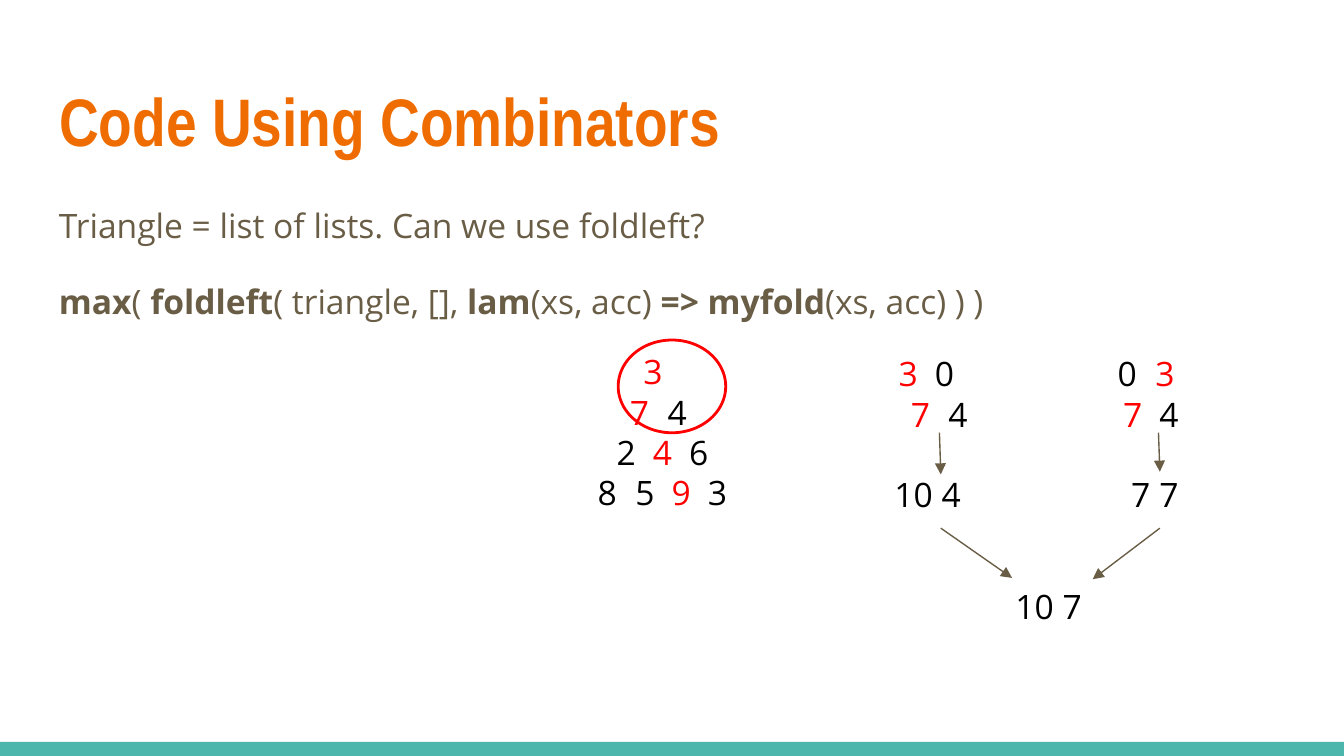
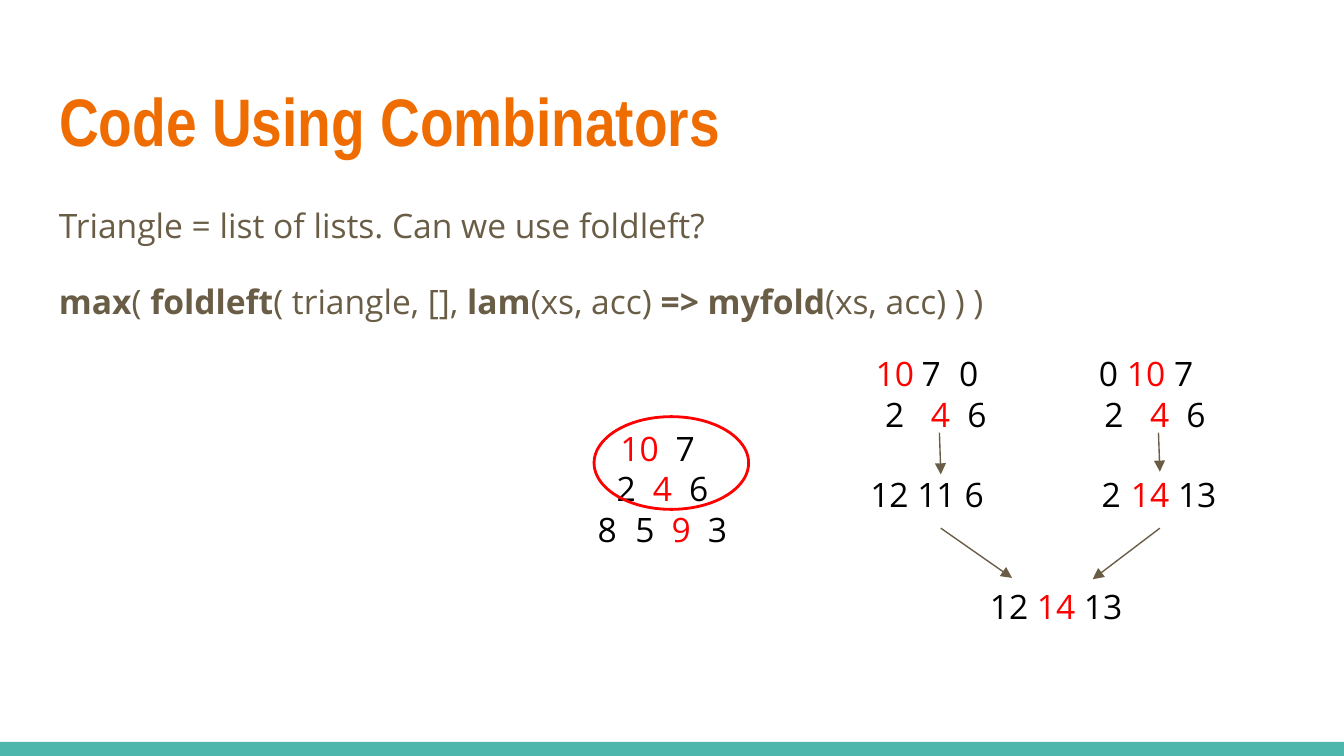
from pptx import Presentation
from pptx.dml.color import RGBColor
from pptx.enum.shapes import MSO_CONNECTOR as Link, MSO_SHAPE as Kind
from pptx.enum.text import MSO_ANCHOR as Anchor, MSO_AUTO_SIZE as Fit, PP_ALIGN as Align
from pptx.util import Inches, Pt
from lxml.etree import SubElement as sub
from pptx.oxml.ns import qn

ORANGE, BROWN, TEAL = "EF6C00", "695D46", "4DB6AC"
RED, BLACK = "FF0000", "000000"
WIDE = 10
HIGH = WIDE * 9 / 16
SIZE = 18
LINE = SIZE * 1.2
PAD = 0.1
BODY = (0.34, 1.38, 9.32, 2.88)
LEFT = (6.33, 2.53, 1.34, 1.4)
RIGHT = (7.96, 2.53, 1.34, 1.4)
CODE = ["max", "( ", "foldleft", "( triangle, [], ", "lam", "(xs, acc) ", "=> myfold", "(xs, acc) ) )"]

STEPS = [
    {
        "tri": [("3*", 4.86), ("7* 4", 4.76, 5.04), ("2 4* 6", 4.66, 4.93, 5.2),
                ("8 5 9* 3", 4.52, 4.8, 5.07, 5.34)],
        "gap": 16,
        "ring": (4.6, 2.53, 0.8, 0.69),
        "left": [("3* 0", 6.76, 7.03), ("7* 4", 6.85, 7.13), ("10 4", 6.8, 7.08)],
        "right": [("0 3*", 8.39, 8.67), ("7* 4", 8.43, 8.7), ("7 7", 8.49, 8.7)],
        "sum": ("10 7", 7.7, 7.98),
        "foot": (7.31, 4.26, 1.07, 0.55),
    },
    {
        "tri": [("10* 7", 4.76, 5.1), ("2 4* 6", 4.66, 4.93, 5.2),
                ("8 5 9* 3", 4.52, 4.8, 5.07, 5.34)],
        "gap": 57,
        "ring": (4.42, 3.1, 1.15, 0.69),
        "left": [("10* 7 0", 6.66, 6.93, 7.21), ("2 4* 6", 6.66, 7, 7.27),
                 ("12 11 6", 6.62, 6.97, 7.25)],
        "right": [("0 10* 7", 8.25, 8.53, 8.81), ("2 4* 6", 8.29, 8.63, 8.9),
                  ("2 14* 13", 8.27, 8.56, 8.91)],
        "sum": ("12 14* 13", 7.51, 7.86, 8.21),
        "foot": (7.08, 4.26, 1.55, 0.55),
    },
]


def rgb(code):
    """Turn a hex string into a colour."""
    return RGBColor.from_string(code)


def inch(box):
    """Turn a box in inches into lengths."""
    return [Inches(v) for v in box]


def style(run, color, size=SIZE, face="Open Sans", bold=False):
    """Format one run."""
    font = run.font
    font.name, font.size, font.bold = face, Pt(size), bold
    font.color.rgb = rgb(color)


def frame(shape):
    """Give a shape's text the common insets and wrapping."""
    text = shape.text_frame
    text.word_wrap, text.auto_size = True, Fit.NONE
    text.vertical_anchor = Anchor.TOP
    text.margin_left = text.margin_right = Inches(PAD)
    text.margin_top = text.margin_bottom = Inches(PAD)
    return text


def add_box(slide, box):
    """Add an empty text box."""
    shape = slide.shapes.add_textbox(*inch(box))
    frame(shape)
    return shape


def add_row(para, left, row, gap=0):
    """Write numbers centred on tab stops, with starred ones in red."""
    words, *mids = row
    props = para._p.get_or_add_pPr()
    stops = sub(props, qn("a:tabLst"))
    for mid in mids:
        sub(stops, qn("a:tab"), pos=str(Inches(mid - left - PAD)), algn="ctr")
    para.space_before = Pt(gap)
    for word in words.split():
        run = para.add_run()
        run.text = "\t" + word.rstrip("*")
        style(run, RED if word.endswith("*") else BLACK)


def add_title(slide):
    """Place the title and the bottom band."""
    band = slide.shapes.add_shape(Kind.RECTANGLE, *inch((0, 5.52, WIDE, HIGH - 5.52)))
    band.shadow.inherit = False
    band.fill.solid()
    band.fill.fore_color.rgb = rgb(TEAL)
    band.line.fill.background()
    title = slide.shapes.title
    title.left, title.top, title.width, title.height = inch((0.34, 0.49, 9.32, 0.77))
    text = frame(title)
    text.text = "Code Using Combinators"
    para = text.paragraphs[0]
    para.alignment = Align.LEFT
    style(para.runs[0], ORANGE, 36, "Arial Narrow", True)


def add_body(slide, box, rows, gap):
    """Write the question, the code and the triangle."""
    text = add_box(slide, box).text_frame
    text.text = "Triangle = list of lists. Can we use foldleft?"
    lead = text.paragraphs[0]
    style(lead.runs[0], BROWN)
    code = text.add_paragraph()
    code.space_before = Pt(16)
    lead.line_spacing = code.line_spacing = 1.15
    for i, part in enumerate(CODE):
        run = code.add_run()
        run.text = part
        style(run, BROWN, bold=i % 2 == 0)
    for i, row in enumerate(rows):
        add_row(text.add_paragraph(), box[0], row, 0 if i else gap)


def add_pair(slide, box, rows):
    """Write two shifted rows and their total one line below."""
    shape = add_box(slide, box)
    text = shape.text_frame
    for i, row in enumerate(rows):
        para = text.add_paragraph() if i else text.paragraphs[0]
        add_row(para, box[0], row, LINE if i == 2 else 0)
    return shape


def add_ring(slide, box):
    """Circle the rows being folded."""
    ring = slide.shapes.add_shape(Kind.OVAL, *inch(box))
    ring.shadow.inherit = False
    ring.fill.background()
    ring.line.color.rgb = rgb(RED)
    ring.line.width = Pt(1.5)


def add_arrow(slide, start, end):
    """Draw an arrow between two points."""
    arrow = slide.shapes.add_connector(Link.STRAIGHT, *inch(start + end))
    arrow.line.color.rgb = rgb(BROWN)
    arrow.line.width = Pt(0.75)
    sub(arrow.line._get_or_add_ln(), qn("a:tailEnd"), type="triangle")
    sub(arrow._element.spPr, qn("a:effectLst"))
    return arrow


def add_fold(slide, step):
    """Draw both pairs, the arrows and the merged row."""
    tips = [(7.53, 4.3), (8.13, 4.31)]
    drops = [3.53, 3.51]
    for box, rows, tip, drop in zip((LEFT, RIGHT), (step["left"], step["right"]), tips, drops):
        pair = add_pair(slide, box, rows)
        x, y, wide, high = box
        mid = x + wide / 2
        add_arrow(slide, (mid - 0.01, y + 0.69), (mid, drop))
        add_arrow(slide, (mid, y + high), tip).begin_connect(pair, 2)
    foot = add_box(slide, step["foot"])
    add_row(foot.text_frame.paragraphs[0], step["foot"][0], step["sum"])


def add_step(deck, step):
    """Build one slide of the fold."""
    slide = deck.slides.add_slide(deck.slide_layouts[5])
    add_title(slide)
    add_body(slide, BODY, step["tri"], step["gap"])
    add_ring(slide, step["ring"])
    add_fold(slide, step)


def main():
    """Build and save the deck."""
    deck = Presentation()
    deck.slide_width, deck.slide_height = Inches(WIDE), Inches(HIGH)
    for step in STEPS:
        add_step(deck, step)
    deck.save("out.pptx")


if __name__ == "__main__":
    main()
